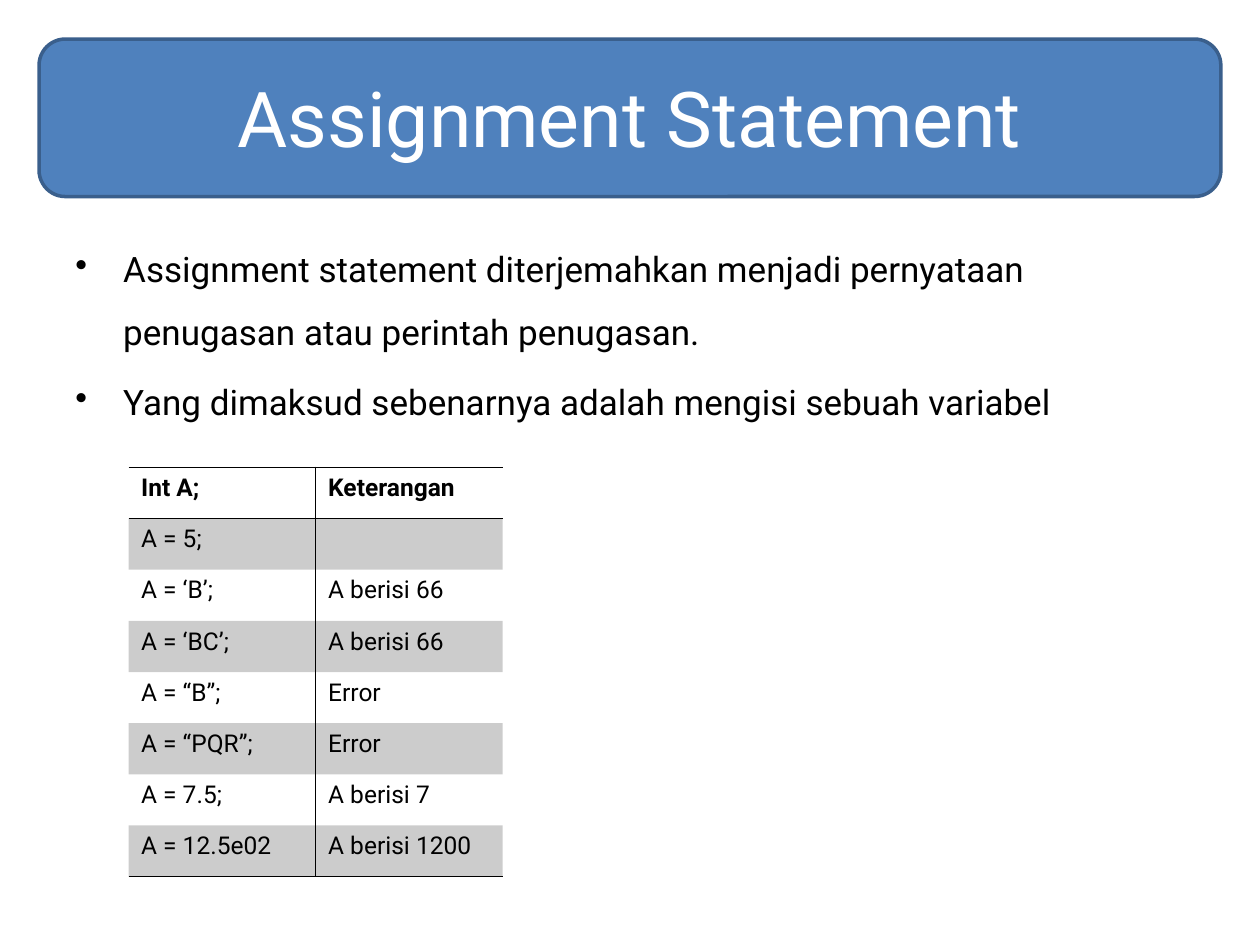
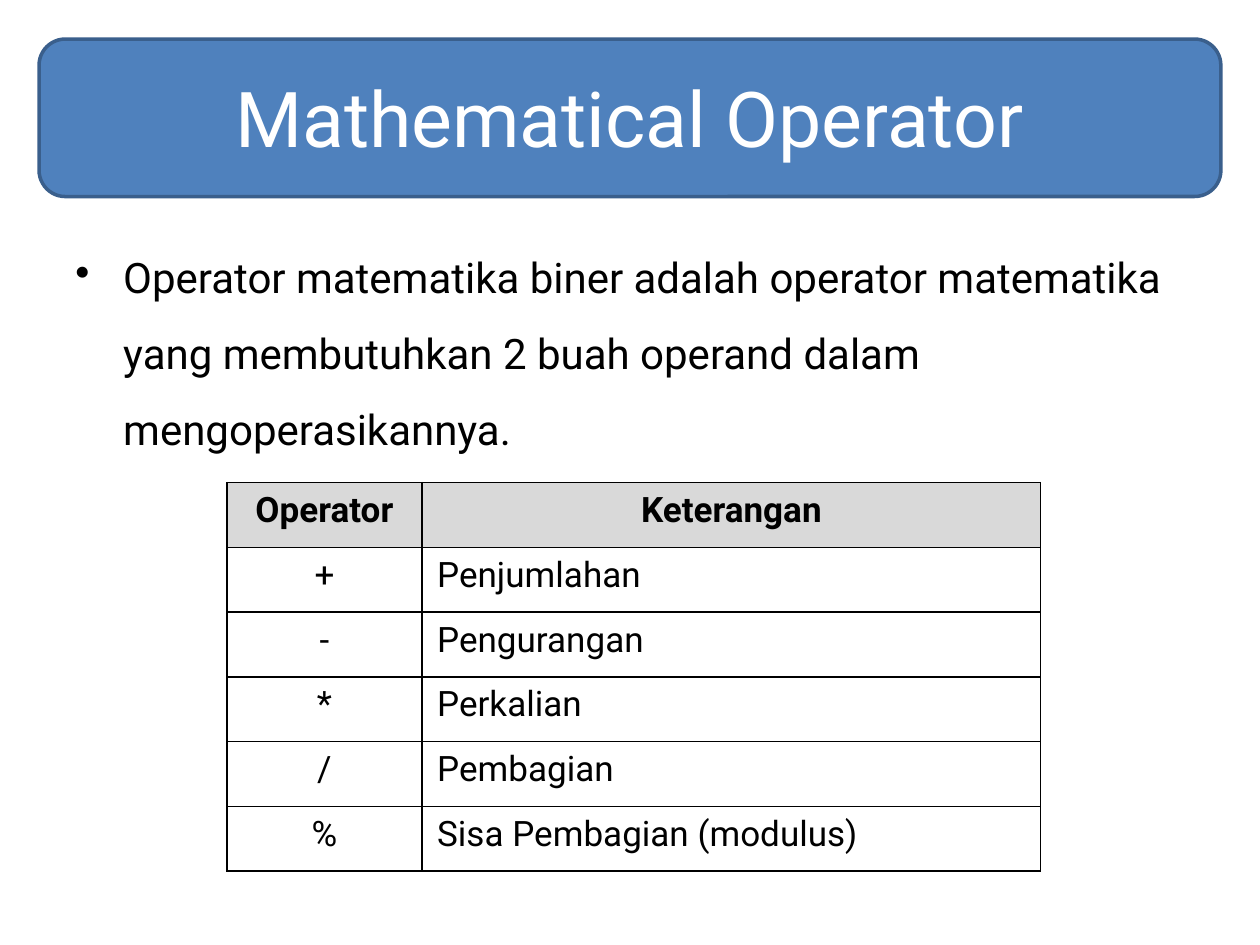
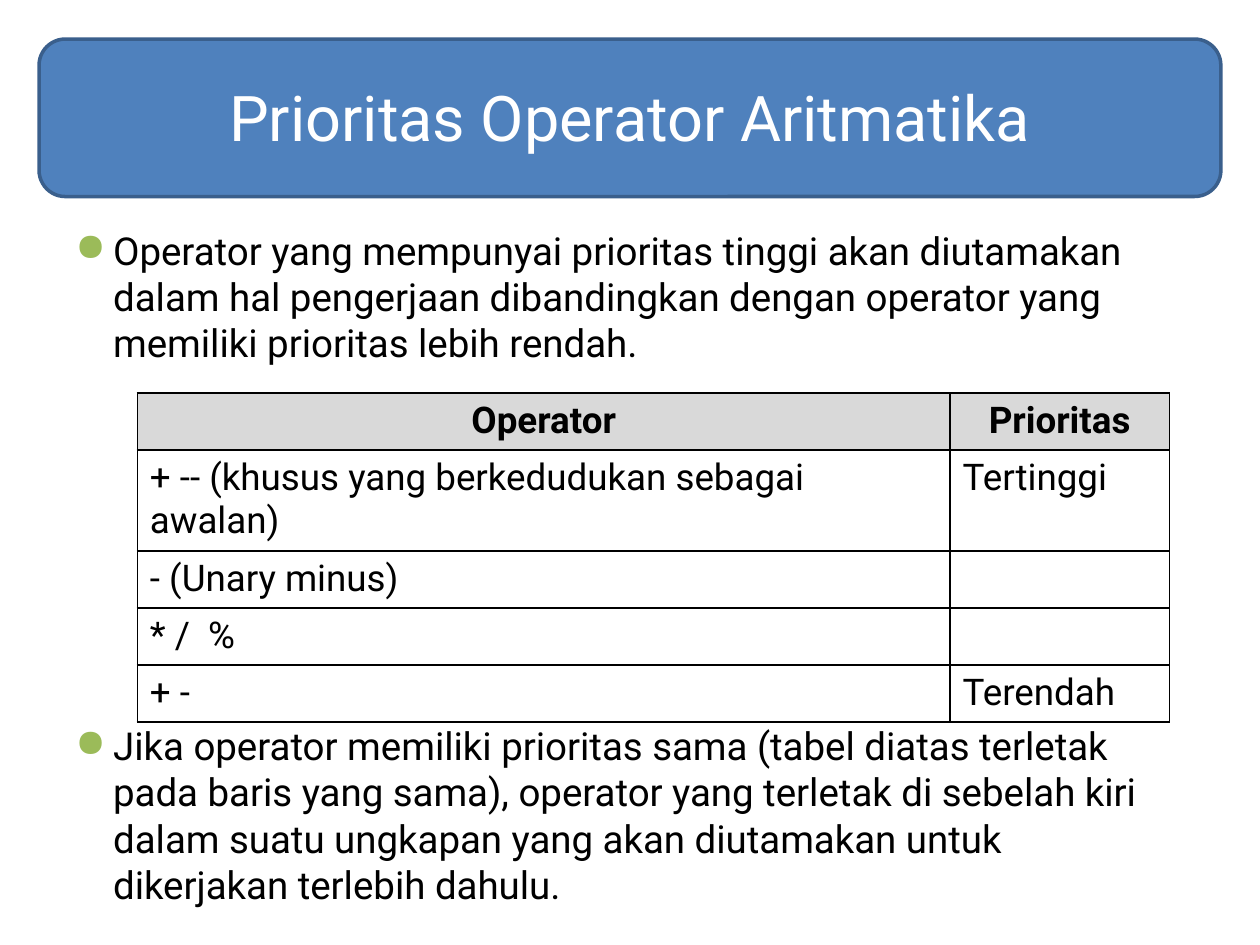
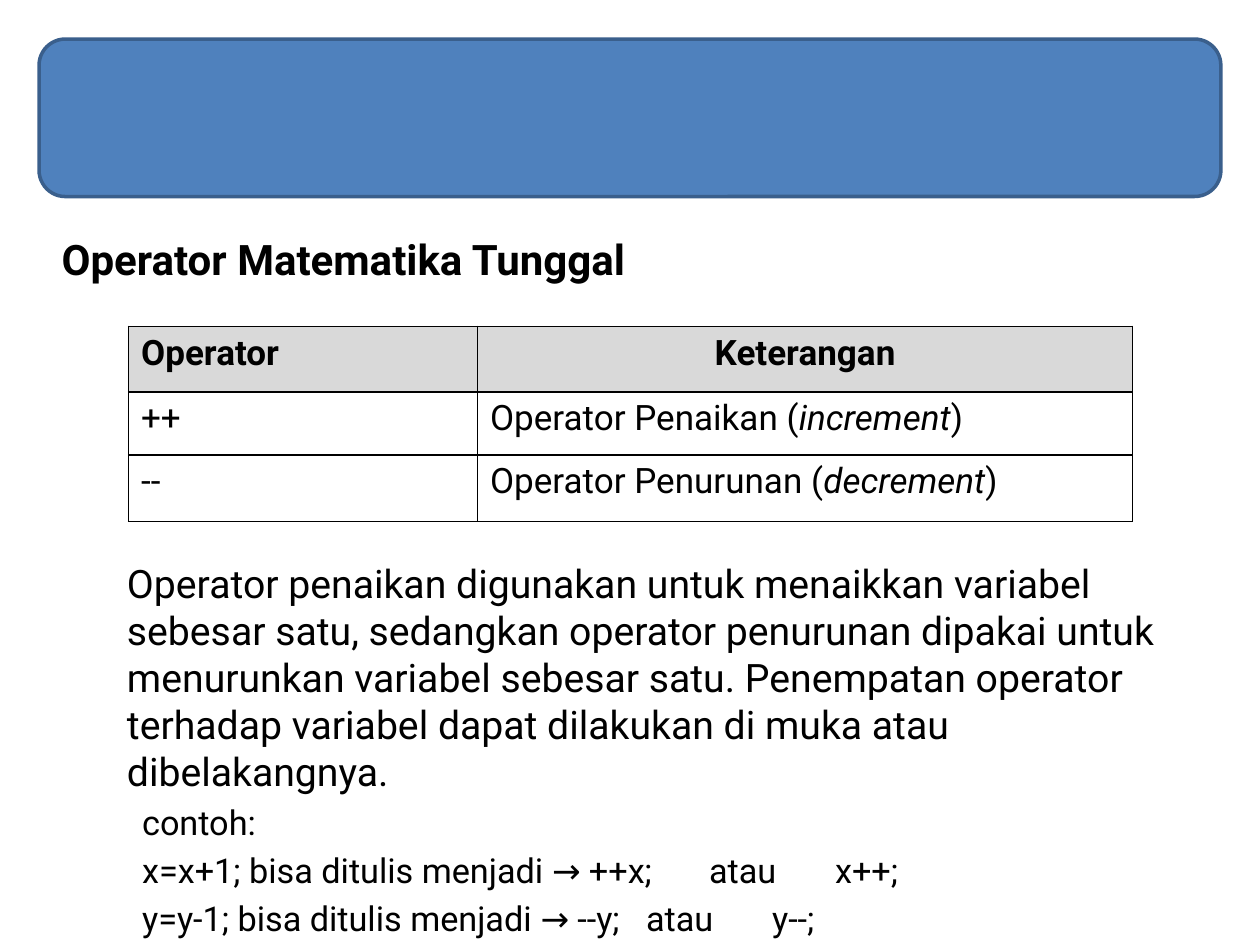
import pptx
import pptx.util
import pptx.dml.color
import pptx.enum.shapes
import pptx.enum.text
import pptx.oxml.ns
from lxml import etree

COLORS = {"band": "4F81BD", "edge": "3A5F8C", "title": "FFFFFF", "text": "000000",
          "head": "D9D9D9", "bullet": "9BBB59"}
FONT = "Roboto"
ALIGN = {"l": pptx.enum.text.PP_ALIGN.LEFT, "c": pptx.enum.text.PP_ALIGN.CENTER}
qn = pptx.oxml.ns.qn
Pt = pptx.util.Pt
RGB = pptx.dml.color.RGBColor.from_string

prs = pptx.Presentation()
prs.slide_width = pptx.util.Inches(10)
prs.slide_height = pptx.util.Inches(7.5)
COL = prs.slide_width // 100
ROW = prs.slide_height // 75


def area(x, y, w, h):
    return round(x * COL), round(y * ROW), round(w * COL), round(h * ROW)


def write(tf, text, size=20, color="text", bold=False, align="l", margin=0, hang=0,
          line=None, before=0, after=0, bullet=None, bullet_color="text", tabs=()):
    p = tf.paragraphs[0]
    if p.runs:
        p = tf.add_paragraph()
    p.alignment = ALIGN[align]
    p.line_spacing = line
    p.space_before, p.space_after = Pt(before), Pt(after)
    pPr = p._p.get_or_add_pPr()
    pPr.set("marL", str(round(margin * COL)))
    pPr.set("indent", str(round(-hang * COL)))
    if bullet:
        clr = etree.SubElement(pPr, qn("a:buClr"))
        etree.SubElement(clr, qn("a:srgbClr"), val=COLORS[bullet_color])
        etree.SubElement(pPr, qn("a:buChar"), char=bullet)
    if tabs:
        stops = etree.SubElement(pPr, qn("a:tabLst"))
        for stop in tabs:
            etree.SubElement(stops, qn("a:tab"), pos=str(round(stop * COL)), algn="l")
    for i, part in enumerate(text.split("_")):
        r = p.add_run()
        r.text = part
        r.font.name, r.font.size = FONT, Pt(size)
        r.font.bold, r.font.italic = bold, i % 2 == 1
        r.font.color.rgb = RGB(COLORS[color])


wide = dict(margin=3.8, hang=3.8, line=1.5, bullet="•")
dot = dict(size=22, margin=3, hang=3, after=6, bullet="●", bullet_color="bullet")
example = dict(size=19.6, before=4)

slides = [
    dict(
        title="Assignment Statement", title_size=44,
        texts=[((5, 17.5, 90, 49.5), [
            ("Assignment statement diterjemahkan menjadi pernyataan penugasan atau perintah penugasan.",
             dict(wide, before=4)),
            ("Yang dimaksud sebenarnya adalah mengisi sebuah variabel", dict(wide, before=4)),
        ])],
        table=dict(
            at=(10.2, 37.1), cols=[14.85, 14.85], heights=[4.06] * 8, size=14, inset=(1, 0.5),
            head="ll", body="ll", grid=False,
            rows=[("Int A;", "Keterangan"), ("A = 5;", ""), ("A = ‘B’;", "A berisi 66"),
                  ("A = ‘BC’;", "A berisi 66"), ("A = “B”;", "Error"), ("A = “PQR”;", "Error"),
                  ("A = 7.5;", "A berisi 7"), ("A = 12.5e02", "A berisi 1200")]),
    ),
    dict(
        title="Mathematical Operator", title_size=44,
        texts=[((5, 17.5, 90, 18.4), [
            ("Operator matematika biner adalah operator matematika yang membutuhkan 2 buah operand "
             "dalam mengoperasikannya.", dict(wide, size=24, before=4.8)),
        ])],
        table=dict(
            at=(18, 38.3), cols=[15.5, 49.1], heights=[5.14] * 6, size=20, inset=(1.2, 0.6),
            head="cc", body="cl", grid=True,
            rows=[("Operator", "Keterangan"), ("+", "Penjumlahan"), ("-", "Pengurangan"),
                  ("*", "Perkalian"), ("/", "Pembagian"), ("%", "Sisa Pembagian (modulus)")]),
    ),
    dict(
        title="Prioritas Operator Aritmatika", title_size=36,
        texts=[((5, 17.5, 90, 52), [
            ("Operator yang mempunyai prioritas tinggi akan diutamakan dalam hal pengerjaan "
             "dibandingkan dengan operator yang memiliki prioritas lebih rendah.",
             dict(dot, before=6)),
            ("Jika operator memiliki prioritas sama (tabel diatas terletak pada baris yang sama), "
             "operator yang terletak di sebelah kiri dalam suatu ungkapan yang akan diutamakan "
             "untuk dikerjakan terlebih dahulu.", dict(dot, before=198)),
        ])],
        table=dict(
            at=(10.9, 31.2), cols=[64.5, 17.4], heights=[4.53] * 5, size=21, inset=(1, 0.5),
            head="cc", body="ll", grid=True,
            rows=[("Operator", "Prioritas"),
                  ("+ -- (khusus yang berkedudukan sebagai awalan)", "Tertinggi"),
                  ("- (Unary minus)", ""), ("* /  %", ""), ("+ -", "Terendah")]),
    ),
    dict(
        title=None,
        texts=[
            ((5.3, 43.9, 90, 31.1), [
                ("Operator penaikan digunakan untuk menaikkan variabel sebesar satu, sedangkan "
                 "operator penurunan dipakai untuk menurunkan variabel sebesar satu. Penempatan "
                 "operator terhadap variabel dapat dilakukan di muka atau dibelakangnya.",
                 dict(size=22.4, margin=3.8, before=4)),
                ("\tcontoh:", dict(example, tabs=(8.1,))),
                ("\tx=x+1; bisa ditulis menjadi → ++x;\tatau\tx++;",
                 dict(example, tabs=(8.1, 51.3, 59.3))),
                ("\ty=y-1; bisa ditulis menjadi → --y;\tatau\ty--;",
                 dict(example, tabs=(8.1, 48.7, 56.7))),
            ]),
            ((3.9, 18, 81.2, 4.9), [("Operator Matematika Tunggal", dict(size=24, bold=True))]),
        ],
        table=dict(
            at=(10.2, 25.9), cols=[27.7, 52], heights=[5.2, 5, 5.3], size=20, inset=(1, 0.5),
            head="lc", body="ll", grid=True,
            rows=[("Operator", "Keterangan"), ("++", "Operator Penaikan (_increment_)"),
                  ("--", "Operator Penurunan (_decrement_)")]),
    ),
]

for content in slides:
    slide = prs.slides.add_slide(prs.slide_layouts[6])

    band = slide.shapes.add_shape(pptx.enum.shapes.MSO_SHAPE.ROUNDED_RECTANGLE,
                                  *area(3.1, 3.1, 93.8, 12.5))
    band.shadow.inherit = False
    band.fill.solid()
    band.fill.fore_color.rgb = RGB(COLORS["band"])
    band.line.color.rgb = RGB(COLORS["edge"])
    band.line.width = Pt(2)

    if content["title"]:
        tf = slide.shapes.add_textbox(*area(5, 3, 90, 12.5)).text_frame
        tf.word_wrap = True
        tf.vertical_anchor = pptx.enum.text.MSO_ANCHOR.MIDDLE
        write(tf, content["title"], size=content["title_size"], color="title", align="c")

    for place, paragraphs in content["texts"]:
        tf = slide.shapes.add_textbox(*area(*place)).text_frame
        tf.word_wrap = True
        for text, fmt in paragraphs:
            write(tf, text, **fmt)

    t = content["table"]
    rows, cols, grid = t["rows"], t["cols"], t["grid"]
    table = slide.shapes.add_table(len(rows), len(cols),
                                   *area(*t["at"], sum(cols), sum(t["heights"]))).table
    table.first_row = table.horz_banding = False
    for column, width in zip(table.columns, cols):
        column.width = round(width * COL)
    for row, height in zip(table.rows, t["heights"]):
        row.height = round(height * ROW)

    for i, row in enumerate(rows):
        for j, text in enumerate(row):
            cell = table.cell(i, j)
            cell.margin_left = cell.margin_right = round(t["inset"][0] * COL)
            cell.margin_top = cell.margin_bottom = round(t["inset"][1] * ROW)
            if text:
                write(cell.text_frame, text, size=t["size"], bold=i == 0,
                      align=t["body" if i else "head"][j])

            tcPr = cell._tc.get_or_add_tcPr()
            if grid and i == 0:
                cell.fill.solid()
                cell.fill.fore_color.rgb = RGB(COLORS["head"])
            elif not grid and i % 2:
                cell.fill.solid()
                cell.fill.fore_color.rgb = RGB(COLORS["text"])
                etree.SubElement(tcPr.find(".//" + qn("a:srgbClr")), qn("a:alpha"), val="20000")
            else:
                cell.fill.background()

            edges = {"a:lnL": j > 0, "a:lnR": j < len(cols) - 1,
                     "a:lnT": i < 2, "a:lnB": i in (0, len(rows) - 1)}
            for k, (tag, drawn) in enumerate(edges.items()):
                ln = etree.Element(qn(tag), w=str(Pt(1)))
                tcPr.insert(k, ln)
                if grid or drawn:
                    fill = etree.SubElement(ln, qn("a:solidFill"))
                    etree.SubElement(fill, qn("a:srgbClr"), val=COLORS["text"])
                else:
                    etree.SubElement(ln, qn("a:noFill"))

prs.save("out.pptx")
